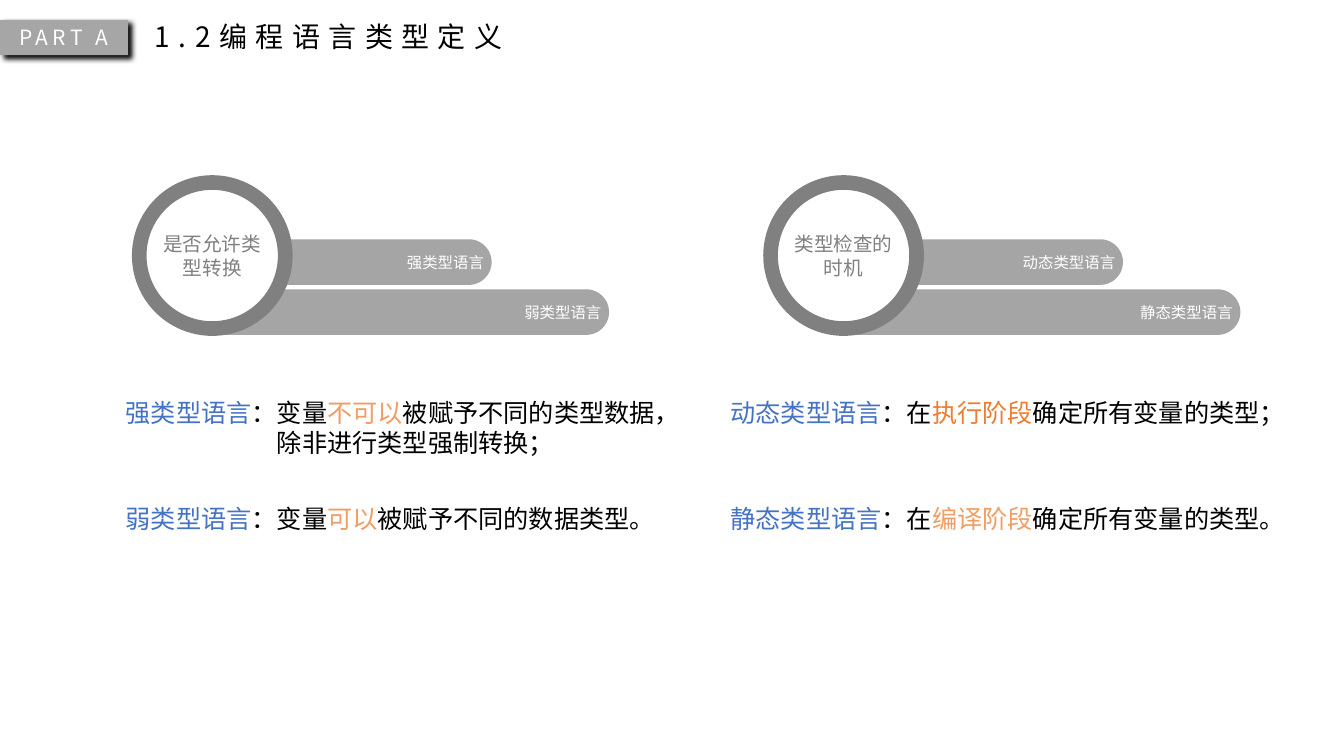
from math import sqrt

from lxml.etree import SubElement
from pptx import Presentation
from pptx.dml.color import RGBColor
from pptx.enum.shapes import MSO_SHAPE as Shape
from pptx.enum.text import MSO_ANCHOR as Anchor, MSO_AUTO_SIZE as AutoSize, PP_ALIGN as Align
from pptx.oxml.ns import qn
from pptx.util import Cm, Pt

FONT = "Noto Sans CJK SC"
COLORS = {
    "tag": "A6A6A6", "bar": "A5A5A5", "ring": "808080", "white": "FFFFFF", "text": "000000",
    "term": "4472C4", "soft": "F19D64", "strong": "ED7D31",
}

TAG = "PART A"
TITLE = "1.2编程语言类型定义"
# ring centre x in cm, ring label, bar labels from top to bottom
DIAGRAMS = [
    (5.35, "是否允许类型转换", ["强类型语言", "弱类型语言"]),
    (21.26, "类型检查的时机", ["动态类型语言", "静态类型语言"]),
]
# one column per diagram; each definition is a list of lines of (text, colour) runs
DEFINITIONS = [
    [
        [[("强类型语言", "term"), ("：变量", "text"), ("不可以", "soft"),
          ("被赋予不同的类型数据，", "text")],
         [("除非进行类型强制转换；", "text")]],
        [[("弱类型语言", "term"), ("：变量", "text"), ("可以", "soft"),
          ("被赋予不同的数据类型。", "text")]],
    ],
    [
        [[("动态类型语言", "term"), ("：在", "text"), ("执行阶段", "strong"),
          ("确定所有变量的类型；", "text")]],
        [[("静态类型语言", "term"), ("：在", "text"), ("编译阶段", "soft"),
          ("确定所有变量的类型。", "text")]],
    ],
]
COLUMN_LEFTS = [3.04, 18.28]
COLUMN_WIDTHS = [[14.43, 13.61], [14.25, 14.25]]
ROW_TOPS, LINE_HEIGHT = [9.87, 12.55], 0.87

RING_Y, RING_SIZE, RING_BAND = 6.44, 4.05, 0.37
BAR_TOP, BAR_STEP, BAR_HEIGHT = 6.03, 1.26, 1.15
BAR_REACH, REACH_STEP = 7.04, 2.96  # from the ring centre to the bar's right end
JOIN_RADIUS = 1.96                  # bars start on this circle, under the ring band
JOIN_STEPS = 4


def color(name):
    return RGBColor.from_string(COLORS[name])


def style(paragraph, size, align, fill=None, spacing=0):
    paragraph.alignment = align
    paragraph.line_spacing = 1.0
    paragraph.space_before = Pt(0)
    font = paragraph.font
    font.name, font.size, font.bold = FONT, Pt(size), False
    if fill:
        font.color.rgb = color(fill)
    for run in paragraph.runs:
        run.font.name, run.font.size = FONT, Pt(size)
        SubElement(run._r.get_or_add_rPr(), qn("a:ea"), typeface=FONT)
        if spacing:
            run._r.rPr.set("spc", str(spacing * 100))


def set_frame(frame, margin=0.13, wrap=True, anchor=Anchor.TOP):
    frame.margin_left = frame.margin_right = Cm(margin)
    frame.margin_top = frame.margin_bottom = Cm(margin)
    frame.word_wrap = wrap
    frame.vertical_anchor = anchor


def place(shape, left, top, width, height):
    shape.left, shape.top, shape.width, shape.height = map(Cm, (left, top, width, height))


def paint(shape, fill):
    shape.shadow.inherit = False
    shape.fill.solid()
    shape.fill.fore_color.rgb = color(fill)
    shape.line.fill.background()


def label(shape, text, size, align, fill, margin, spacing=0):
    set_frame(shape.text_frame, margin, anchor=Anchor.MIDDLE)
    paragraph = shape.text_frame.paragraphs[0]
    paragraph.text = text
    style(paragraph, size, align, fill, spacing)


def add_tag(slide):
    tag = slide.shapes.add_shape(Shape.RECTANGLE, Cm(0), Cm(0.5), Cm(3.23), Cm(0.89))
    paint(tag, "tag")
    label(tag, TAG, 15, Align.CENTER, "white", 0.13, spacing=3)
    effects = tag._element.spPr.find(qn("a:effectLst"))
    shadow = SubElement(effects, qn("a:outerShdw"), blurRad=str(Pt(4)), dist=str(Pt(4)),
                        dir=str(40 * 60000), algn="tl", rotWithShape="0")
    black = SubElement(shadow, qn("a:srgbClr"), val=COLORS["text"])
    SubElement(black, qn("a:alpha"), val="99000")


def round_cap(bar, radius):
    """Turn the two lines through the bar's right tip into quarter circles."""
    lines = list(bar._element.iter(qn("a:lnTo")))
    for line, start in zip(lines[1:3], (270, 0)):
        arc = SubElement(line.getparent(), qn("a:arcTo"), wR=str(Cm(radius)), hR=str(Cm(radius)),
                         stAng=str(start * 60000), swAng=str(90 * 60000))
        line.getparent().replace(line, arc)


def add_bar(slide, center_x, index, text):
    """Draw a bar with a round right end and a left end that follows the ring."""
    top = BAR_TOP + index * BAR_STEP
    radius = BAR_HEIGHT / 2
    tip_x = center_x + BAR_REACH + index * REACH_STEP
    join = []
    for step in range(JOIN_STEPS + 1):
        y = top + BAR_HEIGHT * (1 - step / JOIN_STEPS)
        offset = sqrt(max(JOIN_RADIUS ** 2 - (y - RING_Y) ** 2, 0.04))
        join.append((center_x + offset, y))
    cap = [(tip_x - radius, top), (tip_x, top + radius), (tip_x - radius, top + BAR_HEIGHT)]
    outline = [(Cm(x), Cm(y)) for x, y in [join[-1], *cap, *join[:-1]]]
    builder = slide.shapes.build_freeform(*outline[0])
    builder.add_line_segments(outline[1:], close=True)
    bar = builder.convert_to_shape()
    round_cap(bar, radius)
    paint(bar, "bar")
    label(bar, text, 11, Align.RIGHT, "white", 0.19)


def add_diagram(slide, center_x, ring_text, bar_texts):
    for index in reversed(range(len(bar_texts))):
        add_bar(slide, center_x, index, bar_texts[index])
    ring = slide.shapes.add_shape(Shape.DONUT, Cm(center_x - RING_SIZE / 2),
                                  Cm(RING_Y - RING_SIZE / 2), Cm(RING_SIZE), Cm(RING_SIZE))
    ring.adjustments[0] = RING_BAND / RING_SIZE
    paint(ring, "ring")
    label(ring, ring_text, 14, Align.CENTER, "ring", 0.1)


def fill_definition(placeholder, lines):
    frame = placeholder.text_frame
    set_frame(frame, wrap=False)
    frame.auto_size = AutoSize.SHAPE_TO_FIT_TEXT
    for index, line in enumerate(lines):
        paragraph = frame.add_paragraph() if index else frame.paragraphs[0]
        for text, fill in line:
            run = paragraph.add_run()
            run.text = text
            run.font.color.rgb = color(fill)
        style(paragraph, 18, Align.LEFT)
        properties = paragraph._p.pPr
        properties.set("marL", str(Cm(3.81 if index else 0)))
        properties.set("indent", "0")
        properties.find(qn("a:defRPr")).addprevious(SubElement(properties, qn("a:buNone")))


def main():
    presentation = Presentation()
    presentation.slide_width, presentation.slide_height = Cm(33.87), Cm(19.05)
    slide = presentation.slides.add_slide(presentation.slide_layouts.get_by_name("Comparison"))

    title = slide.shapes.title
    place(title, 3.66, 0.36, 9.25, 1.24)
    title.text = TITLE
    set_frame(title.text_frame, wrap=False)
    title.text_frame.auto_size = AutoSize.SHAPE_TO_FIT_TEXT
    style(title.text_frame.paragraphs[0], 20, Align.CENTER, "text", spacing=6)

    add_tag(slide)
    for diagram in DIAGRAMS:
        add_diagram(slide, *diagram)

    bodies = iter([item for item in slide.placeholders if item.placeholder_format.idx in range(1, 5)])
    for left, widths, column in zip(COLUMN_LEFTS, COLUMN_WIDTHS, DEFINITIONS):
        for top, width, lines in zip(ROW_TOPS, widths, column):
            body = next(bodies)
            place(body, left, top, width, 0.26 + LINE_HEIGHT * len(lines))
            fill_definition(body, lines)

    presentation.save("out.pptx")


if __name__ == "__main__":
    main()
